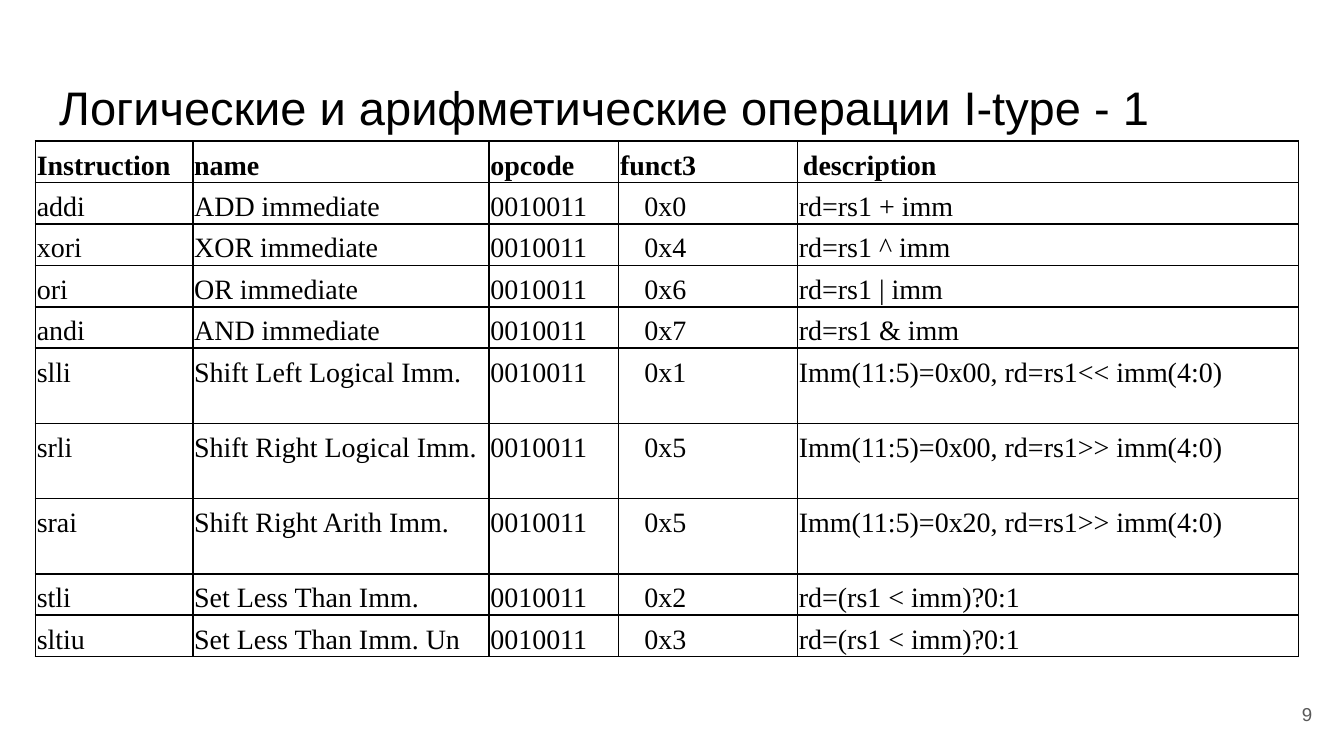
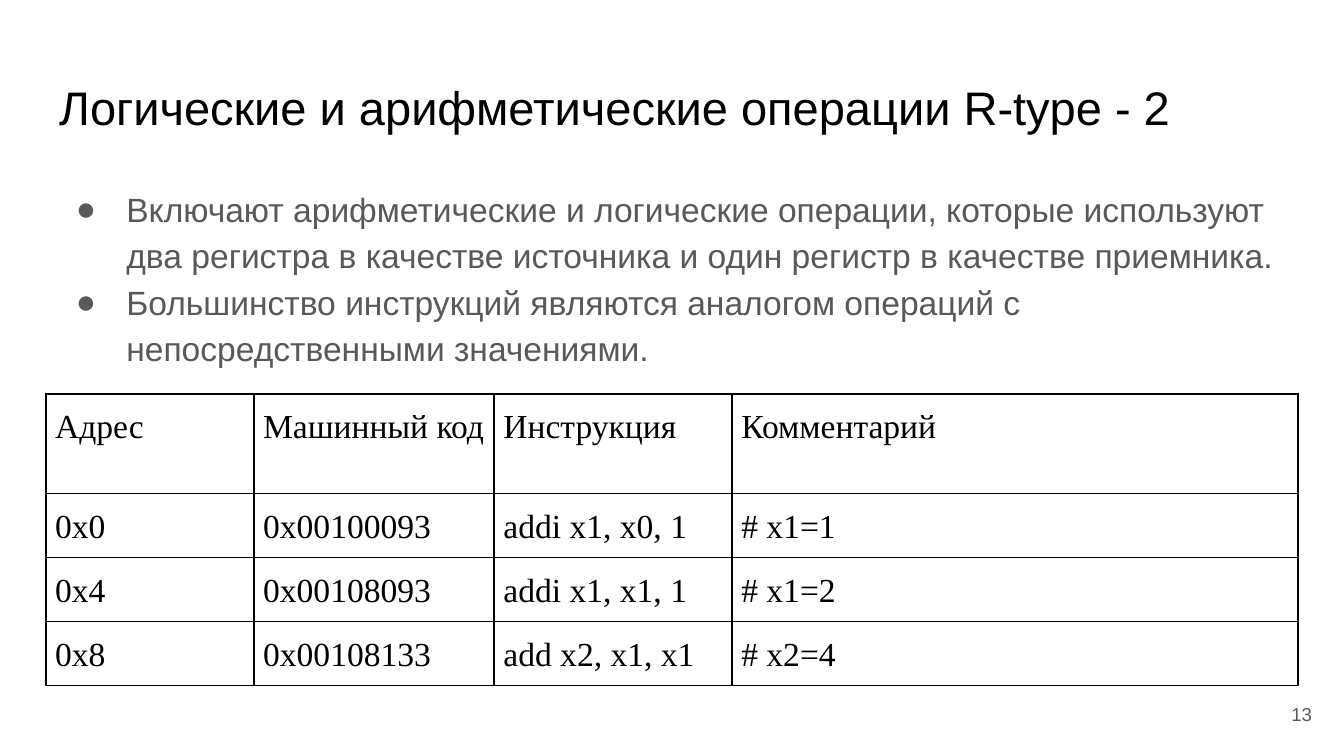
from pptx import Presentation
from pptx.dml.color import RGBColor
from pptx.enum.text import MSO_ANCHOR, MSO_AUTO_SIZE, PP_ALIGN
from pptx.oxml import parse_xml
from pptx.oxml.ns import nsdecls
from pptx.util import Pt

BLACK = RGBColor(0x00, 0x00, 0x00)
GRAY = RGBColor(0x59, 0x59, 0x59)
SANS = "Arial"
SERIF = "Times New Roman"
LEFT = 24.5
WIDTH = 671


def write(paragraph, text, font, size, color, bold=False):
    run = paragraph.add_run()
    run.text = text
    run.font.name = font
    run.font.size = Pt(size)
    run.font.color.rgb = color
    run.font.bold = bold


def draw_table(slide, left, top, widths, heights, rows, style):
    frame = slide.shapes.add_table(len(rows), len(widths), Pt(left), Pt(top),
                                   Pt(sum(widths)), Pt(sum(heights)))
    table = frame.table
    table.first_row = False
    table.horz_banding = False
    for column, width in zip(table.columns, widths):
        column.width = Pt(width)
    for row_index, (height, texts) in enumerate(zip(heights, rows)):
        table.rows[row_index].height = Pt(height)
        header = row_index == 0
        for column_index, text in enumerate(texts):
            cell = table.cell(row_index, column_index)
            properties = cell._tc.get_or_add_tcPr()
            for side in ("lnL", "lnR", "lnT", "lnB"):
                properties.append(parse_xml(
                    f'<a:{side} {nsdecls("a")} w="{Pt(1)}"><a:solidFill>'
                    f'<a:srgbClr val="{BLACK}"/></a:solidFill></a:{side}>'))
            cell.fill.background()
            cell.margin_left = cell.margin_right = Pt(style["margin"])
            cell.margin_top = cell.margin_bottom = Pt(style["margin"])
            paragraph = cell.text_frame.paragraphs[0]
            paragraph.line_spacing = style["spacing"]
            if style["justified"] and not (header and column_index >= 3):
                paragraph.alignment = PP_ALIGN.JUSTIFY
            indent = style["indents"].get((header, column_index))
            if indent:
                paragraph._p.get_or_add_pPr().set("indent", str(Pt(indent)))
            write(paragraph, text, SERIF, style["size"], BLACK, header and style["bold_header"])


presentation = Presentation()
presentation.slide_width = Pt(720)
presentation.slide_height = Pt(405)

slides = []
for layout_index, title_text, number in (
    (5, "Логические и арифметические операции I-type - 1", "9"),
    (1, "Логические и арифметические операции R-type - 2", "13"),
):
    slide = presentation.slides.add_slide(presentation.slide_layouts[layout_index])
    slides.append(slide)

    title = slide.shapes.title
    title.left, title.top, title.width, title.height = Pt(LEFT), Pt(35), Pt(WIDTH), Pt(45)
    page_number = slide.shapes.add_textbox(Pt(667), Pt(367), Pt(43), Pt(31))
    for shape, text, size, color, anchor, alignment in (
        (title, title_text, 25.2, BLACK, MSO_ANCHOR.TOP, PP_ALIGN.LEFT),
        (page_number, number, 10, GRAY, MSO_ANCHOR.MIDDLE, PP_ALIGN.RIGHT),
    ):
        frame = shape.text_frame
        frame.word_wrap = True
        frame.auto_size = MSO_AUTO_SIZE.NONE
        frame.vertical_anchor = anchor
        frame.margin_left = frame.margin_right = Pt(7.2)
        frame.margin_top = frame.margin_bottom = Pt(7.2)
        frame.paragraphs[0].alignment = alignment
        write(frame.paragraphs[0], text, SANS, size, color)

immediate_slide, register_slide = slides

OPCODE = "0010011"
operations = [
    ("addi", "ADD immediate", "0x0", "rd=rs1 + imm"),
    ("xori", "XOR immediate", "0x4", "rd=rs1 ^ imm"),
    ("ori", "OR immediate", "0x6", "rd=rs1 | imm"),
    ("andi", "AND immediate", "0x7", "rd=rs1 & imm"),
    ("slli", "Shift Left Logical Imm.", "0x1", "Imm(11:5)=0x00, rd=rs1<< imm(4:0)"),
    ("srli", "Shift Right Logical Imm.", "0x5", "Imm(11:5)=0x00, rd=rs1>> imm(4:0)"),
    ("srai", "Shift Right Arith Imm.", "0x5", "Imm(11:5)=0x20, rd=rs1>> imm(4:0)"),
    ("stli", "Set Less Than Imm.", "0x2", "rd=(rs1 < imm)?0:1"),
    ("sltiu", "Set Less Than Imm. Un", "0x3", "rd=(rs1 < imm)?0:1"),
]
instruction_rows = [("Instruction", "name", "opcode", "funct3", "description")]
for instruction, name, funct3, description in operations:
    instruction_rows.append((instruction, name, OPCODE, funct3, description))
draw_table(
    immediate_slide, 19, 75.6, [84.3, 158.7, 69.5, 95.8, 268.5],
    [21] * 5 + [40.3] * 3 + [21] * 2, instruction_rows,
    {"size": 15, "margin": 0.75, "spacing": 1.25, "justified": True, "bold_header": True,
     "indents": {(True, 4): 2.2, (False, 3): 13}},
)

body = register_slide.placeholders[1]
body.left, body.top, body.width, body.height = Pt(LEFT), Pt(90.7), Pt(WIDTH), Pt(269)
frame = body.text_frame
frame.auto_size = MSO_AUTO_SIZE.NONE
frame.margin_left = frame.margin_right = Pt(7.2)
frame.margin_top = frame.margin_bottom = Pt(7.2)
for index, text in enumerate((
    "Включают арифметические и логические операции, которые используют "
    "два регистра в качестве источника и один регистр в качестве приемника.",
    "Большинство инструкций являются аналогом операций с непосредственными значениями.",
)):
    paragraph = frame.add_paragraph() if index else frame.paragraphs[0]
    properties = paragraph._p.get_or_add_pPr()
    properties.set("marL", str(Pt(36)))
    properties.set("indent", str(Pt(-27)))
    for bullet in (
        f'<a:buClr {nsdecls("a")}><a:srgbClr val="{GRAY}"/></a:buClr>',
        f'<a:buFont {nsdecls("a")} typeface="{SANS}"/>',
        f'<a:buChar {nsdecls("a")} char="●"/>',
    ):
        properties.append(parse_xml(bullet))
    paragraph.line_spacing = 1.15
    paragraph.space_before = Pt(0)
    write(paragraph, text, SANS, 18, GRAY)

program_rows = [
    ("Адрес", "Машинный код", "Инструкция", "Комментарий"),
    ("0x0", "0x00100093", "addi x1, x0, 1", "# x1=1"),
    ("0x4", "0x00108093", "addi x1, x1, 1", "# x1=2"),
    ("0x8", "0x00108133", "add x2, x1, x1", "# x2=4"),
]
draw_table(
    register_slide, LEFT, 211, [111.5, 128.7, 127.5, 303.3],
    [53.3] + [34.3] * 3, program_rows,
    {"size": 18, "margin": 5, "spacing": 1.15, "justified": False, "bold_header": False,
     "indents": {}},
)

presentation.save("out.pptx")
